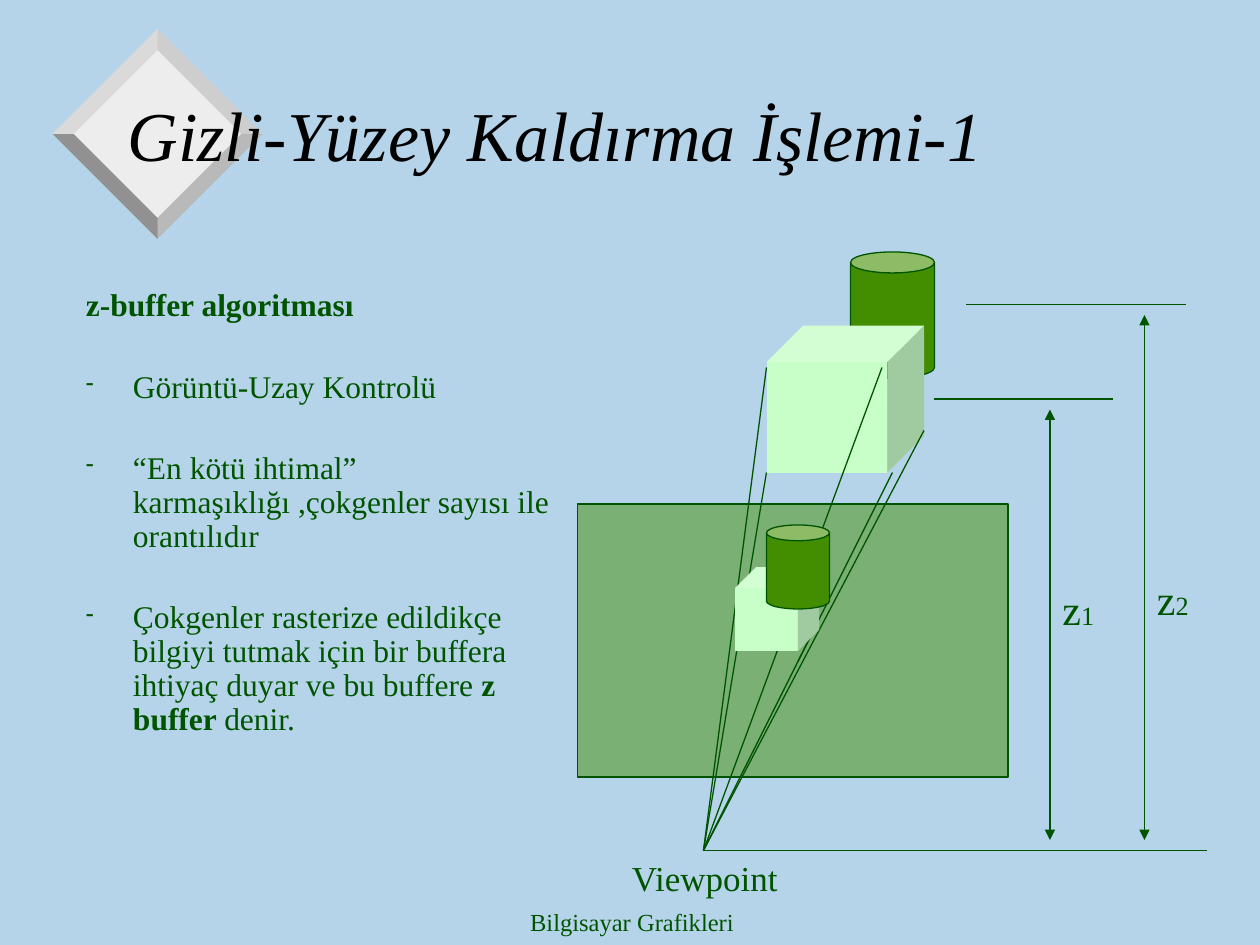
from lxml import etree
from pptx import Presentation
from pptx.dml.color import RGBColor
from pptx.enum.shapes import MSO_CONNECTOR, MSO_SHAPE
from pptx.enum.text import MSO_ANCHOR, PP_ALIGN
from pptx.oxml.ns import qn
from pptx.util import Cm, Pt

CAN, CUBE, RECT = MSO_SHAPE.CAN, MSO_SHAPE.CUBE, MSO_SHAPE.RECTANGLE
LINE = MSO_CONNECTOR.STRAIGHT
LEFT, MID = PP_ALIGN.LEFT, PP_ALIGN.CENTER
TOP, CENTER = MSO_ANCHOR.TOP, MSO_ANCHOR.MIDDLE

SKY = RGBColor(0xB5, 0xD4, 0xE9)
INK = RGBColor(0x00, 0x54, 0x00)
BLACK = RGBColor(0, 0, 0)
GREEN = RGBColor(0x43, 0x8E, 0x00)
MINT = RGBColor(0xC8, 0xFE, 0xC8)
FACE = RGBColor(0xED, 0xED, 0xED)
# Bevel sides, clockwise from the upper right
SIDES = [RGBColor(v, v, v) for v in (0xCE, 0xB9, 0x91, 0xDA)]
FONT = "Times New Roman"

# Places are counted in grid cells, twelve to the inch
CELL = 2.54 / 12
HUB, INNER, OUTER = (15, 12.75), 8, 10
EYE = (67, 81)

# Paragraphs are lists of (text, format) runs
TITLE = [[("Gizli-Yüzey Kaldırma İşlemi-1", {"italic": True})]]
FOOT = [[("Bilgisayar Grafikleri", {})]]
VIEW = [[("Viewpoint", {})]]
BODY = [
    [("z-buffer algoritması", {"bold": True})],
    [("Görüntü-Uzay Kontrolü", {})],
    [("“En kötü ihtimal” karmaşıklığı ,çokgenler sayısı ile orantılıdır", {})],
    [("Çokgenler rasterize edildikçe bilgiyi tutmak için bir buffera "
      "ihtiyaç duyar ve bu buffere ", {}),
     ("z buffer ", {"bold": True}), ("denir.", {})],
]
DEPTHS = [("1", (100, 55)), ("2", (109, 54))]

# Kind, box, fill, outlined, opacity in percent
SCENE = [
    (CAN, (81, 24, 8, 12), GREEN, True, 100),
    (CUBE, (73, 31, 15, 14), MINT, False, 100),
    (RECT, (55, 48, 41, 26), GREEN, True, 50),
]
IMAGE = [
    (CUBE, (70, 54, 8, 8), MINT, False, 100),
    (CAN, (73, 50, 6, 8), GREEN, True, 100),
]
RAYS = [(73, 35), (84, 35), (73, 45), (85, 45), (88, 41)]
LEVELS = [((92, 29), (113, 29)), (EYE, (115, 81)), ((89, 38), (106, 38))]
SPANS = [((100, 39), (100, 80)), ((109, 30), (109, 80))]


def cells(*nums):
    return [Cm(n * CELL) for n in nums]


def add_facet(slide, points, color):
    start, *rest = [cells(*p) for p in points]
    pen = slide.shapes.build_freeform(*start)
    pen.add_line_segments(rest, close=True)
    shape = pen.convert_to_shape()
    shape.shadow.inherit = False
    shape.fill.solid()
    shape.fill.fore_color.rgb = color
    shape.line.fill.background()


def add_solid(slide, kind, box, color, edge, alpha):
    shape = slide.shapes.add_shape(kind, *cells(*box))
    shape.shadow.inherit = False
    shape.fill.solid()
    shape.fill.fore_color.rgb = color
    if kind != RECT:
        shape.adjustments[0] = 0.25
    if alpha < 100:
        tint = shape.fill._xPr.find(".//" + qn("a:srgbClr"))
        etree.SubElement(tint, qn("a:alpha"), val=str(alpha * 1000))
    if edge:
        shape.line.color.rgb = INK
        shape.line.width = Pt(0.75)
    else:
        shape.line.fill.background()


def add_line(slide, start, end, arrows=False):
    line = slide.shapes.add_connector(LINE, *cells(*start, *end))
    line.line.color.rgb = INK
    line.line.width = Pt(0.75)
    if arrows:
        for tag in ("a:headEnd", "a:tailEnd"):
            etree.SubElement(line.line._ln, qn(tag), type="triangle")
    etree.SubElement(line._element.spPr, qn("a:effectLst"))


def add_dash(par):
    props = par._p.get_or_add_pPr()
    tone = etree.SubElement(props, qn("a:buClr"))
    etree.SubElement(tone, qn("a:srgbClr"), val=str(INK))
    etree.SubElement(props, qn("a:buSzPct"), val="75000")
    etree.SubElement(props, qn("a:buChar"), char="-")


def add_text(slide, box, pars, size, color=INK, align=LEFT, anchor=TOP,
             listed=False):
    frame = slide.shapes.add_textbox(*cells(*box)).text_frame
    frame.word_wrap = True
    frame.vertical_anchor = anchor
    for i, runs in enumerate(pars):
        par = frame.add_paragraph() if i else frame.paragraphs[0]
        par.alignment = align
        if listed:
            props = par._p.get_or_add_pPr()
            props.set("marL", str(Cm(0.95)))
            props.set("indent", str(-Cm(0.95)))
            par.line_spacing = 0.9
            par.space_after = Pt(22.5)
            if i:
                par.space_before = Pt(4.5)
                add_dash(par)
        for text, form in runs:
            run = par.add_run()
            run.text = text
            font = run.font
            font.name = FONT
            font.size = Pt(form.get("size", size))
            font.bold = form.get("bold", False)
            font.italic = form.get("italic", False)
            font.color.rgb = color


def ring(radius):
    x, y = HUB
    return [(x, y - radius), (x + radius, y), (x, y + radius), (x - radius, y)]


def main():
    deck = Presentation()
    deck.slide_width, deck.slide_height = cells(120, 90)
    slide = deck.slides.add_slide(deck.slide_layouts[6])
    slide.background.fill.solid()
    slide.background.fill.fore_color.rgb = SKY

    # Bevelled diamond
    inner, outer = ring(INNER), ring(OUTER)
    add_facet(slide, inner, FACE)
    for i, color in enumerate(SIDES):
        j = (i + 1) % 4
        add_facet(slide, [inner[i], outer[i], outer[j], inner[j]], color)

    # Footer and title
    add_text(slide, (41.2, 85.8, 38, 4.2), FOOT, 14, align=MID)
    add_text(slide, (11, 5.5, 102, 14.5), TITLE, 40, color=BLACK,
             anchor=CENTER)

    # Solids, screen, rays to the eye, and their image on the screen
    for part in SCENE:
        add_solid(slide, *part)
    for end in RAYS:
        add_line(slide, EYE, end)
    add_line(slide, (78, 59), (76, 63))
    for part in IMAGE:
        add_solid(slide, *part)

    # Depth levels and measures
    for start, end in LEVELS:
        add_line(slide, start, end)
    for start, end in SPANS:
        add_line(slide, start, end, arrows=True)
    for num, spot in DEPTHS:
        add_text(slide, (*spot, 6, 6), [[("z", {}), (num, {"size": 15})]], 24)

    # Body and eye label
    add_text(slide, (7, 27, 47, 56), BODY, 18, listed=True)
    add_text(slide, (59, 81, 20, 5.25), VIEW, 20)

    deck.save("out.pptx")


if __name__ == "__main__":
    main()
